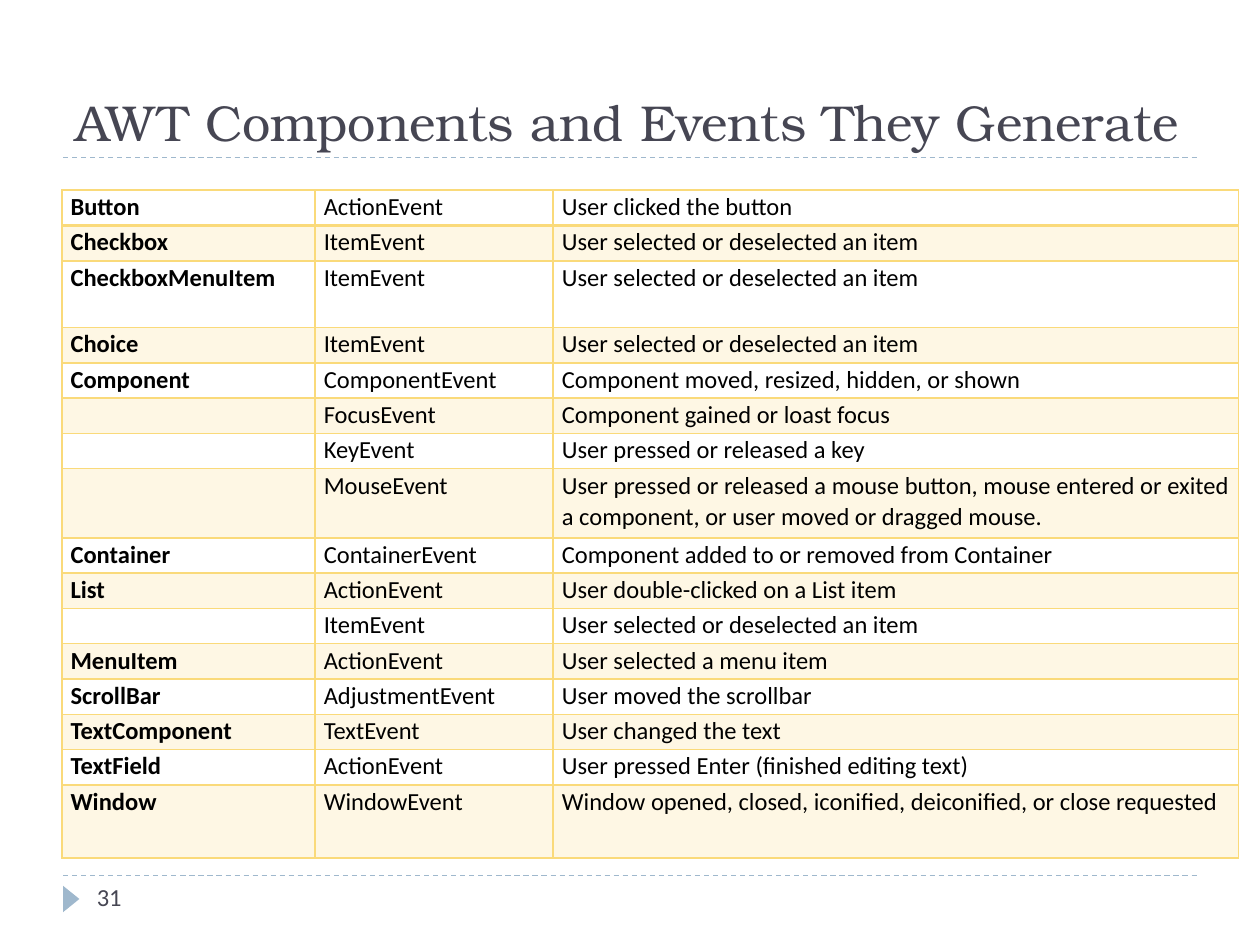
from dataclasses import dataclass

from lxml import etree
from pptx import Presentation, util as u
from pptx.dml.color import RGBColor
from pptx.enum import dml, shapes, text
from pptx.oxml import ns

Inches, Pt = u.Inches, u.Pt


@dataclass(frozen=True)
class Theme:
    heading: str = "TeX Gyre Bonum"
    body: str = "Calibri"
    ink: str = "464653"
    black: str = "000000"
    rule: str = "9FB8CD"
    gold: str = "FADA7A"
    title_size: float = 28.8
    text_size: float = 14
    band_alpha: int = 20


T = Theme()
ITEM = "User selected or deselected an item"
EVENTS = [
    ("Button", "ActionEvent", "User clicked the button"),
    ("Checkbox", "ItemEvent", ITEM),
    ("CheckboxMenuItem", "ItemEvent", ITEM),
    ("Choice", "ItemEvent", ITEM),
    ("Component", "ComponentEvent", "Component moved, resized, hidden, or shown"),
    ("", "FocusEvent", "Component gained or loast focus"),
    ("", "KeyEvent", "User pressed or released a key"),
    ("", "MouseEvent", "User pressed or released a mouse button, mouse entered or "
                       "exited a component, or user moved or dragged mouse."),
    ("Container", "ContainerEvent", "Component added to or removed from Container"),
    ("List", "ActionEvent", "User double-clicked on a List item"),
    ("", "ItemEvent", ITEM),
    ("MenuItem", "ActionEvent", "User selected a menu item"),
    ("ScrollBar", "AdjustmentEvent", "User moved the scrollbar"),
    ("TextComponent", "TextEvent", "User changed the text"),
    ("TextField", "ActionEvent", "User pressed Enter (finished editing text)"),
    ("Window", "WindowEvent",
     "Window opened, closed, iconified, deiconified, or close requested"),
]
COL_WIDTHS = (2.01, 1.89, 5.44)
ROW_HEIGHT = 0.28
TALL_ROWS = {2: 0.53, 7: 0.55, 15: 0.58}


def apply(obj, **values):
    for name, value in values.items():
        setattr(obj, name, value)


def add_run(p, words, font, size, color, bold=False):
    r = p.add_run()
    r.text = words
    apply(r.font, name=font, size=Pt(size), bold=bold)
    r.font.color.rgb = RGBColor.from_string(color)


def add_rule(s, x, y, width):
    line = s.shapes.add_connector(shapes.MSO_CONNECTOR.STRAIGHT, Inches(x), Inches(y),
                                  Inches(x + width), Inches(y))
    line.line.color.rgb = RGBColor.from_string(T.rule)
    apply(line.line, width=Pt(0.75), dash_style=dml.MSO_LINE.DASH)
    etree.SubElement(line._element.spPr, ns.qn("a:effectLst"))


def add_title(s, words, x, y, w, h):
    sp = s.shapes.title
    apply(sp, left=Inches(x), top=Inches(y), width=Inches(w), height=Inches(h))
    tf = sp.text_frame
    apply(tf, word_wrap=True, auto_size=text.MSO_AUTO_SIZE.NONE,
          vertical_anchor=text.MSO_ANCHOR.BOTTOM)
    p = tf.paragraphs[0]
    p.alignment = text.PP_ALIGN.LEFT
    add_run(p, words, T.heading, T.title_size, T.ink)
    add_rule(s, x, y + h, w)


def add_footer(s, number, x, y, w):
    add_rule(s, x, y, w)
    # Page marker
    sp = s.shapes.add_shape(shapes.MSO_SHAPE.ISOSCELES_TRIANGLE, Inches(x - 0.04),
                            Inches(y + 0.12), Inches(0.21), Inches(0.13))
    sp.rotation = 90
    sp.shadow.inherit = False
    sp.fill.solid()
    sp.fill.fore_color.rgb = RGBColor.from_string(T.rule)
    sp.line.fill.background()
    # Page number
    box = s.shapes.add_textbox(Inches(x + 0.17), Inches(y), Inches(2.17), Inches(0.4))
    box.text_frame.word_wrap = True
    add_run(box.text_frame.paragraphs[0], number, T.body, T.text_size, T.ink)


def add_color(parent, color):
    fill = etree.SubElement(parent, ns.qn("a:solidFill"))
    return etree.SubElement(fill, ns.qn("a:srgbClr"), val=color)


def style_cell(cell, row):
    tc_pr = cell._tc.get_or_add_tcPr()
    # The rule below the first row is twice as thick
    widths = {"L": 1, "R": 1, "T": 2 if row == 1 else 1, "B": 2 if row == 0 else 1}
    for side, width in widths.items():
        add_color(etree.SubElement(tc_pr, ns.qn(f"a:ln{side}"), w=str(Pt(width))), T.gold)
    if row % 2:
        band = add_color(tc_pr, T.gold)
        etree.SubElement(band, ns.qn("a:alpha"), val=str(T.band_alpha * 1000))
    else:
        cell.fill.background()
    apply(cell, margin_left=Inches(0.07), margin_right=Inches(0.07),
          margin_top=0, margin_bottom=0)


def add_events(s, x, y):
    heights = [TALL_ROWS.get(i, ROW_HEIGHT) for i in range(len(EVENTS))]
    table = s.shapes.add_table(len(EVENTS), len(COL_WIDTHS), Inches(x), Inches(y),
                               Inches(sum(COL_WIDTHS)), Inches(sum(heights))).table
    apply(table, first_row=False, horz_banding=False)
    for col, width in zip(table.columns, COL_WIDTHS):
        col.width = Inches(width)
    for i, (height, record) in enumerate(zip(heights, EVENTS)):
        table.rows[i].height = Inches(height)
        for j, words in enumerate(record):
            cell = table.cell(i, j)
            style_cell(cell, i)
            p = cell.text_frame.paragraphs[0]
            apply(p, alignment=text.PP_ALIGN.JUSTIFY, line_spacing=1.07)
            if words:
                add_run(p, words, T.body, T.text_size, T.black, bold=j == 0)
            else:
                # Keeps empty cells from stretching their row
                etree.SubElement(p._p, ns.qn("a:endParaRPr"), sz=str(T.text_size * 100))


def main():
    prs = Presentation()
    apply(prs, slide_width=Inches(10), slide_height=Inches(7.5))
    s = prs.slides.add_slide(prs.slide_layouts[5])
    add_title(s, "AWT Components and Events They Generate", 0.5, 0.17, 9, 1.08)
    add_footer(s, "31", 0.5, 6.95, 9)
    add_events(s, 0.49, 1.51)
    prs.save("out.pptx")


if __name__ == "__main__":
    main()
